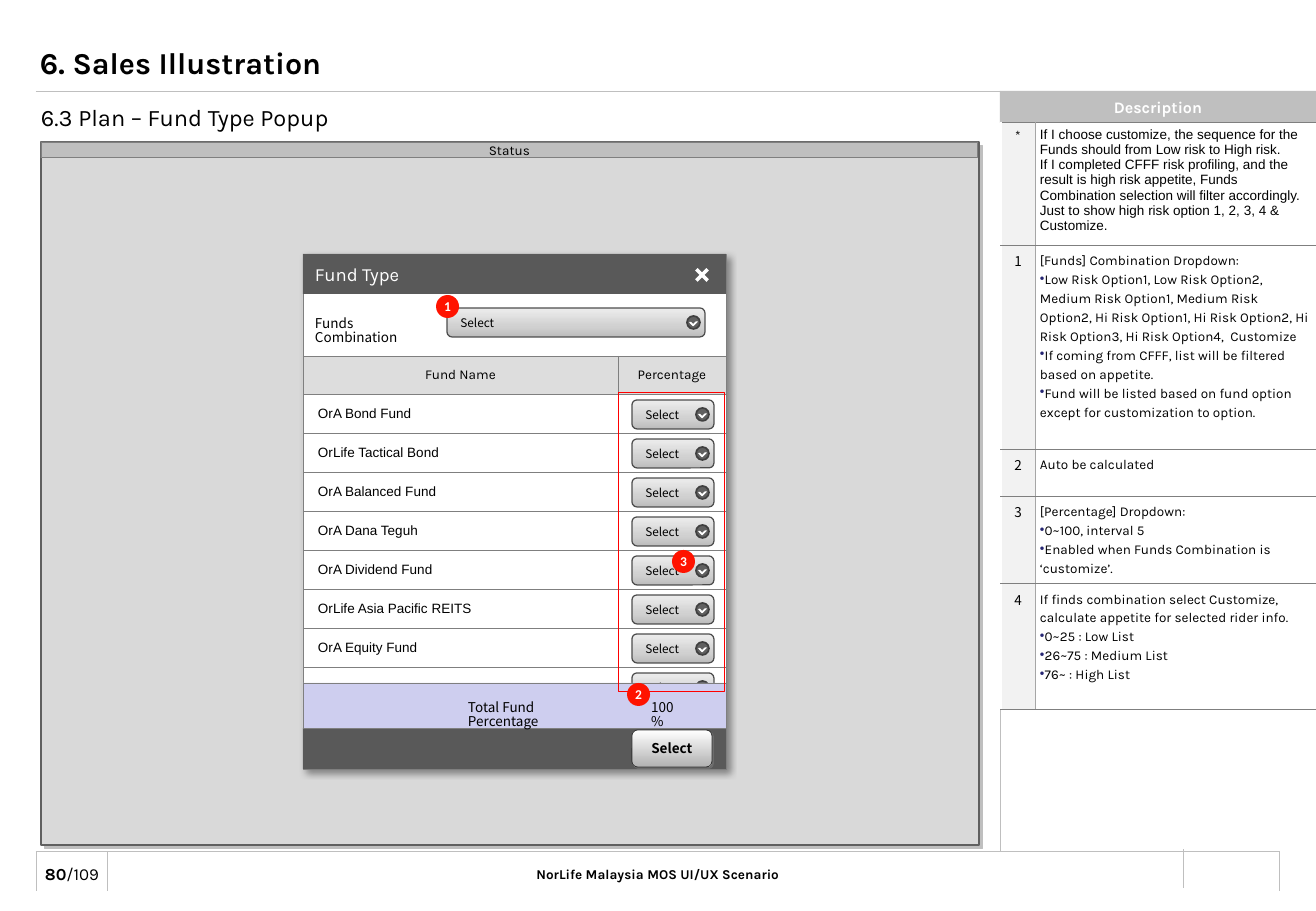
from pptx import Presentation
from pptx.dml.color import RGBColor
from pptx.enum.shapes import MSO_CONNECTOR, MSO_SHAPE
from pptx.enum.text import MSO_ANCHOR, PP_ALIGN
from pptx.oxml import parse_xml
from pptx.oxml.ns import nsdecls, qn
from pptx.util import Pt

# Content: a leading "•" makes a bulleted paragraph
TITLE = "6. Sales Illustration"
SUBTITLE = "6.3 Plan – Fund Type Popup"
FOOTER = "NorLife Malaysia MOS UI/UX Scenario"
PAGE_NUMBER = [("80", True), ("/109", False)]
FUND_HEADINGS = ["Fund Name", "Percentage"]
FUNDS = ["OrA Bond Fund", "OrLife Tactical Bond", "OrA Balanced Fund", "OrA Dana Teguh",
         "OrA Dividend Fund", "OrLife Asia Pacific REITS", "OrA Equity Fund", ""]
NOTES = [  # mark, row height, paragraphs
    ("*", 116, ["If I choose customize, the sequence for the Funds should from Low risk to High risk.",
                "If I completed CFFF risk profiling, and the result is high risk appetite, Funds "
                "Combination selection will filter accordingly. Just to show high risk option "
                "1, 2, 3, 4 & Customize."]),
    ("1", 204, ["[Funds] Combination Dropdown:",
                "•Low Risk Option1, Low Risk Option2, Medium Risk Option1, Medium Risk Option2, "
                "Hi Risk Option1, Hi Risk Option2, Hi Risk Option3, Hi Risk Option4,  Customize",
                "•If coming from CFFF, list will be filtered based on appetite.",
                "•Fund will be listed based on fund option except for customization to option."]),
    ("2", 47, ["Auto be calculated"]),
    ("3", 87, ["[Percentage] Dropdown:", "•0~100, interval 5",
               "•Enabled when Funds Combination is ‘customize’."]),
    ("4", 126, ["If finds combination select Customize, calculate appetite for selected rider info.",
                "•0~25 : Low List", "•26~75 : Medium List", "•76~ : High List"]),
]
RULES = [(36, 91, 1279, 91), (36, 851, 1279, 851), (1183, 888, 1183, 849), (36, 891, 36, 851),
         (107, 891, 107, 851), (1279, 891, 1279, 851), (1000, 91, 1000, 851)]
BADGES = [("1", 436, 295), ("2", 627, 683), ("3", 672, 550)]

# Look
BLACK, WHITE = RGBColor(0, 0, 0), RGBColor(255, 255, 255)
SILVER, PALE = RGBColor(0xBF, 0xBF, 0xBF), RGBColor(0xF2, 0xF2, 0xF2)
CANVAS, HEADING = RGBColor(0xD9, 0xD9, 0xD9), RGBColor(0xDD, 0xDD, 0xDD)
GREY, MIDGREY = RGBColor(0x7F, 0x7F, 0x7F), RGBColor(0xA6, 0xA6, 0xA6)
DARK, SLATE = RGBColor(0x59, 0x59, 0x59), RGBColor(0x60, 0x60, 0x60)
EDGE, LILAC = RGBColor(0x40, 0x40, 0x40), RGBColor(0xCE, 0xCE, 0xEF)
RED, BADGE, BULLET = RGBColor(255, 0, 0), RGBColor(255, 0x13, 0), RGBColor(0x26, 0x26, 0x73)
DROPDOWN = [(0, "BCBCBC"), (35, "D0D0D0"), (100, "EDEDED")]
BUTTON = [(0, "FFFFFF"), (100, "B2B2B2")]
KARLA, NOTO, ARIAL = "Karla", "Noto Sans CJK KR", "Arial"
LEFT, CENTER = PP_ALIGN.LEFT, PP_ALIGN.CENTER
TOP, MIDDLE = MSO_ANCHOR.TOP, MSO_ANCHOR.MIDDLE


def px(length):
    return round(length * 914400 / 121.5)


deck = Presentation()
deck.slide_width, deck.slide_height = px(1316), px(911)
page = deck.slides.add_slide(deck.slide_layouts[6])


def write(frame, paras, size=8, font=KARLA, color=BLACK, bold=False, align=LEFT, spacing=None):
    """Each paragraph is a string or a list of (text, bold) spans."""
    for index, content in enumerate(paras):
        para = frame.paragraphs[0] if index == 0 else frame.add_paragraph()
        para.alignment = align
        if spacing:
            para.line_spacing = spacing
        spans = [(content, bold)] if isinstance(content, str) else content
        if spans[0][0].startswith("•"):
            spans = [(spans[0][0][1:], bold)]
            props = para._p.get_or_add_pPr()
            props.append(parse_xml(f'<a:buClr {nsdecls("a")}><a:srgbClr val="{BULLET}"/></a:buClr>'))
            props.append(parse_xml(f'<a:buChar {nsdecls("a")} char="•"/>'))
        for text, heavy in spans:
            span = para.add_run()
            span.text = text
            span.font.size, span.font.name, span.font.bold = Pt(size), font, heavy
            span.font.color.rgb = color


def set_frame(frame, anchor, margins, wrap):
    frame.vertical_anchor, frame.word_wrap = anchor, wrap
    frame.margin_left = frame.margin_right = px(margins[0])
    frame.margin_top = frame.margin_bottom = px(margins[1])


def add_text(left, top, width, height, paras, anchor=TOP, wrap=True, **style):
    box = page.shapes.add_textbox(px(left), px(top), px(width), px(height))
    set_frame(box.text_frame, anchor, (12, 6), wrap)
    write(box.text_frame, paras, **style)


def add_box(left, top, width, height, kind=MSO_SHAPE.RECTANGLE, fill=None, line=None, weight=0.5,
            text=None, margins=(12, 6), wrap=True, turn=0, adjust=(), **style):
    shape = page.shapes.add_shape(kind, px(left), px(top), px(width), px(height))
    shape.shadow.inherit = False
    shape.rotation = turn
    for index, value in enumerate(adjust):
        shape.adjustments[index] = value
    if fill is None:
        shape.fill.background()
    else:
        shape.fill.solid()
        shape.fill.fore_color.rgb = fill
    if line is None:
        shape.line.fill.background()
    else:
        shape.line.color.rgb, shape.line.width = line, Pt(weight)
    if text:
        set_frame(shape.text_frame, MIDDLE, margins, wrap)
        write(shape.text_frame, [text], **style)
    return shape


def add_shadow(shape, color, alpha, blur, distance):
    shape._element.spPr.find(qn("a:effectLst")).append(parse_xml(
        f'<a:outerShdw {nsdecls("a")} blurRad="{Pt(blur)}" dist="{Pt(distance)}" dir="2700000" '
        f'algn="tl" rotWithShape="0"><a:srgbClr val="{color}"><a:alpha val="{alpha * 1000}"/>'
        f'</a:srgbClr></a:outerShdw>'))


def add_gradient(shape, stops, angle):
    marks = "".join(f'<a:gs pos="{at * 1000}"><a:srgbClr val="{color}"/></a:gs>' for at, color in stops)
    props = shape._element.spPr
    props.replace(props.find(qn("a:noFill")), parse_xml(
        f'<a:gradFill {nsdecls("a")} rotWithShape="1"><a:gsLst>{marks}</a:gsLst>'
        f'<a:lin ang="{angle * 60000}" scaled="0"/></a:gradFill>'))


def add_dropdown(left, top, width):
    shape = add_box(left, top, width, 29, MSO_SHAPE.ROUNDED_RECTANGLE, line=RGBColor(0x4D, 0x4D, 0x4D),
                    weight=0.75, adjust=[0.17], text="Select", size=7, font=NOTO)
    add_gradient(shape, DROPDOWN, 270)
    right = left + width
    add_box(right - 18, top + 8, 13, 13, MSO_SHAPE.OVAL, fill=SLATE, line=EDGE, weight=1)
    add_box(right - 14, top + 11, 5, 6, MSO_SHAPE.HALF_FRAME, fill=WHITE, line=WHITE,
            turn=226.3, adjust=[0.19, 0.19])


def add_grid(left, top, widths, heights):
    grid = page.shapes.add_table(len(heights), len(widths), px(left), px(top),
                                 px(sum(widths)), px(sum(heights))).table
    grid.first_row = grid.horz_banding = False
    for column, width in zip(grid.columns, widths):
        column.width = px(width)
    for row, height in zip(grid.rows, heights):
        row.height = px(height)
    return grid


def fill_cell(cell, paras, fill, edges, anchor, margins, **style):
    """Edges map a side (L, R, T, B) to (color, points)."""
    cell.vertical_anchor = anchor
    cell.margin_left, cell.margin_right, cell.margin_top, cell.margin_bottom = map(px, margins)
    cell.fill.solid()
    cell.fill.fore_color.rgb = fill
    for index, (side, (color, points)) in enumerate(edges.items()):
        cell._tc.get_or_add_tcPr().insert(index, parse_xml(
            f'<a:ln{side} {nsdecls("a")} w="{Pt(points)}"><a:solidFill><a:srgbClr val="{color}"/>'
            f'</a:solidFill></a:ln{side}>'))
    if paras != [""]:
        write(cell.text_frame, paras, **style)


# Page furniture
for x1, y1, x2, y2 in RULES:
    rule = page.shapes.add_connector(MSO_CONNECTOR.STRAIGHT, px(x1), px(y1), px(x2), px(y2))
    rule.line.color.rgb, rule.line.width = SILVER, Pt(0.5)
    rule._element.spPr.append(parse_xml(f'<a:effectLst {nsdecls("a")}/>'))
add_text(423, 860, 470, 29, [FOOTER], bold=True, align=CENTER)
add_text(32, 858, 80, 32, [PAGE_NUMBER], anchor=MIDDLE, wrap=False, size=10, align=CENTER)
add_text(28, 32, 1185, 60, [TITLE], anchor=MIDDLE, size=18, bold=True)
add_text(29, 97, 919, 38, [SUBTITLE], size=14)

# Description column
add_box(1000, 91, 316, 32, fill=SILVER, text="Description", margins=(0, 0), wrap=False,
        size=9.5, color=WHITE, bold=True, align=CENTER)
notes = add_grid(1001, 122, [34, 281], [height for _, height, _ in NOTES])
inner, outer = (MIDGREY, 0.25), (GREY, 0.5)
for row, (mark, _, paras) in enumerate(NOTES):
    starred = mark == "*"
    fill_cell(notes.cell(row, 0), [mark], PALE, {"R": inner, "T": outer, "B": outer}, TOP,
              (0, 0, 6, 6), font=KARLA if starred else NOTO, align=CENTER)
    fill_cell(notes.cell(row, 1), paras, WHITE, {"L": inner, "R": outer, "T": outer, "B": outer}, TOP,
              (5, 5, 5, 5), font=ARIAL if starred else KARLA, spacing=None if starred else 1.2)

# Screen canvas and popup
add_shadow(add_box(41, 142, 938, 703, fill=CANVAS, line=SLATE, weight=1), SILVER, 100, 0, 3)
add_box(41, 142, 937, 16, fill=SILVER, line=GREY, text="Status", wrap=False, align=CENTER)
add_shadow(add_box(303, 254, 423, 515, fill=WHITE, line=GREY, weight=0.25), BLACK, 40, 4, 3)
add_box(303, 254, 423, 40, fill=DARK, text="Fund Type", size=11, color=WHITE)
add_box(694, 267, 16, 16, MSO_SHAPE.CROSS, fill=WHITE, turn=45, adjust=[0.39])

# Fund table with its dropdowns
HEAD_TOP, HEAD_HEIGHT, ROW_HEIGHT = 356, 38, 39
funds = add_grid(303, HEAD_TOP, [315, 108], [HEAD_HEIGHT] + [ROW_HEIGHT] * len(FUNDS))
thin = {side: (GREY, 0.25) for side in "LRTB"}
for column, heading in enumerate(FUND_HEADINGS):
    fill_cell(funds.cell(0, column), [heading], HEADING, thin, MIDDLE, (5, 5, 6, 6), align=CENTER)
add_dropdown(447, 308, 258)
add_text(303, 312, 146, 26, ["Funds Combination"], font=NOTO, spacing=0.83)
for row, fund in enumerate(FUNDS):
    fill_cell(funds.cell(row + 1, 0), [fund], WHITE, thin, MIDDLE, (15, 0, 0, 0), font=ARIAL)
    fill_cell(funds.cell(row + 1, 1), [""], WHITE, thin, MIDDLE, (0, 0, 0, 0))
    add_dropdown(632, HEAD_TOP + HEAD_HEIGHT + row * ROW_HEIGHT + 6, 82)

# Popup footer
add_box(303, 728, 423, 41, fill=DARK)
confirm = add_box(632, 730, 80, 37, MSO_SHAPE.ROUNDED_RECTANGLE, line=RGBColor(0x33, 0x33, 0x33),
                  adjust=[0.15], text="Select", wrap=False, font=NOTO, bold=True, align=CENTER)
add_gradient(confirm, BUTTON, 90)
add_shadow(confirm, GREY, 50, 0, 1.4)
add_box(303, 683, 423, 45, fill=LILAC, line=GREY)
add_text(456, 696, 164, 26, ["Total Fund Percentage"], wrap=False, font=NOTO, spacing=0.83)
add_text(639, 696, 58, 26, ["100%"], font=NOTO, spacing=0.83)

# Red marks
add_box(618, 392, 106, 299, line=RED)
for mark, left, top in BADGES:
    add_box(left, top, 23, 23, MSO_SHAPE.OVAL, fill=BADGE, text=mark, margins=(0, 0), wrap=False,
            font="Calibri", color=WHITE, bold=True, align=CENTER)

deck.save("out.pptx")
